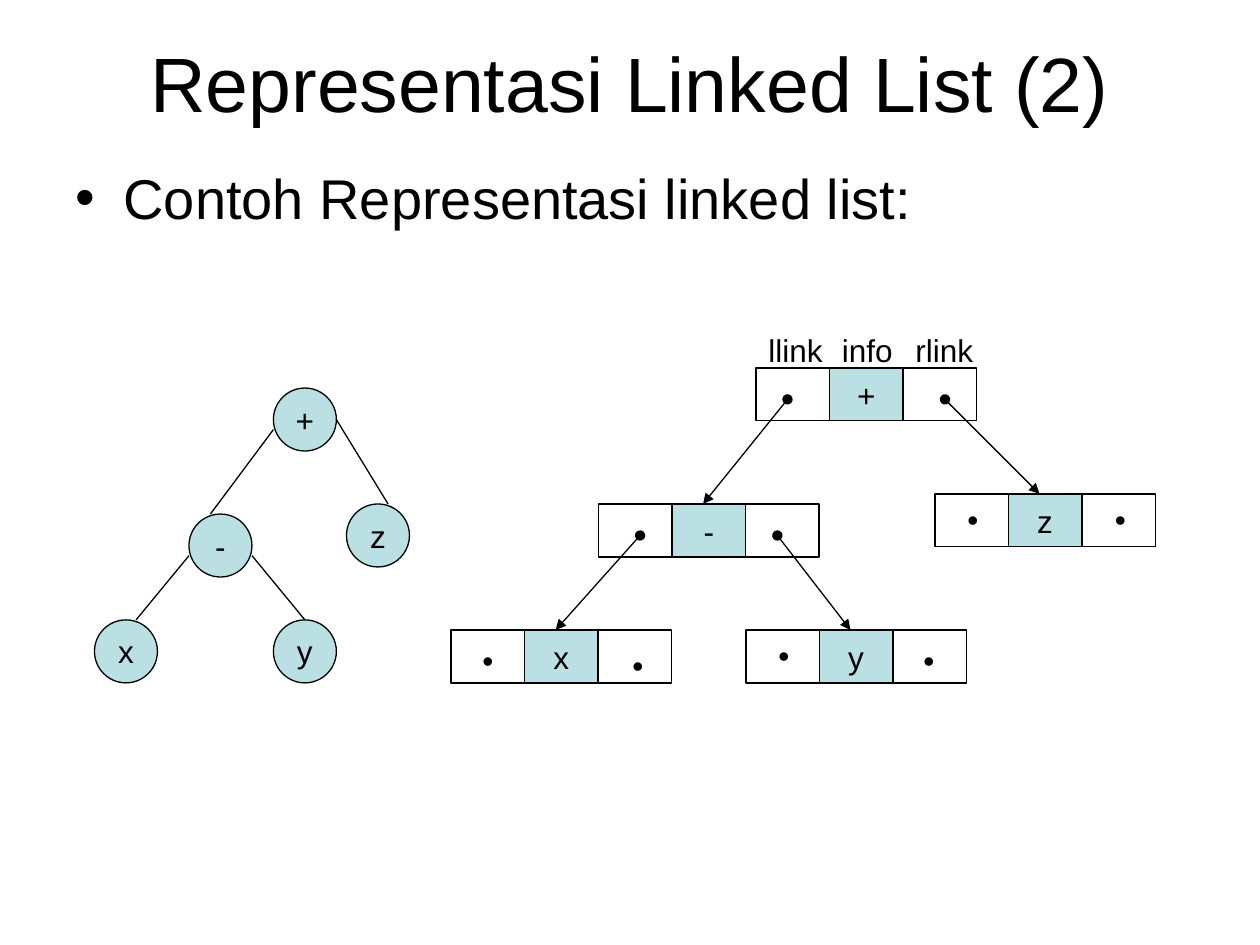
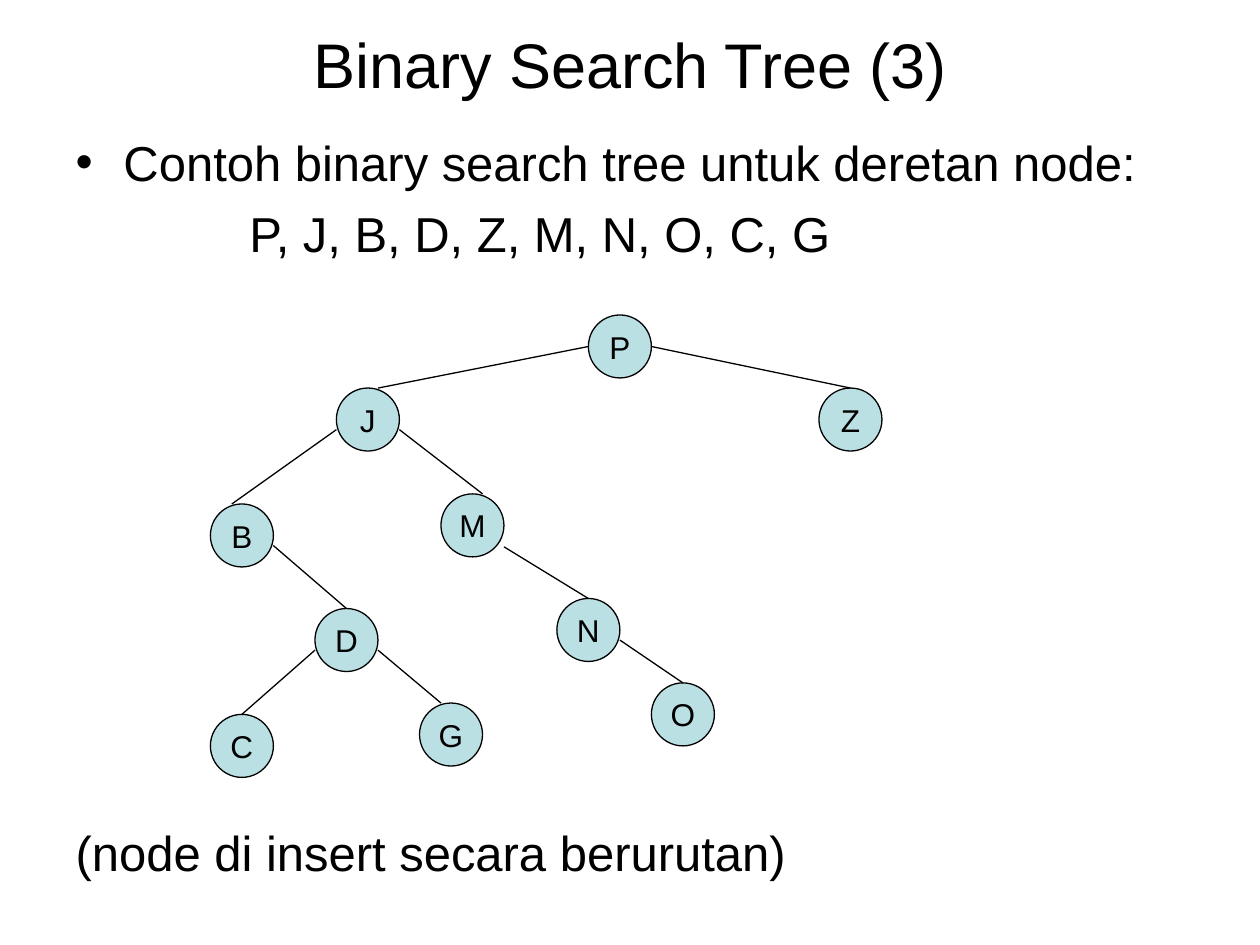
"""Build two slides on binary trees: linked list records and a search tree."""
from dataclasses import dataclass

from lxml.etree import SubElement
from pptx import Presentation
from pptx.dml.color import RGBColor
from pptx.enum.shapes import MSO_CONNECTOR, MSO_SHAPE
from pptx.enum.text import MSO_ANCHOR, MSO_AUTO_SIZE, PP_ALIGN
from pptx.oxml.ns import qn
from pptx.util import Inches, Pt


@dataclass(frozen=True)
class Theme:
    font: str = "Arial"
    ink: RGBColor = RGBColor(0x00, 0x00, 0x00)
    node_fill: RGBColor = RGBColor(0xBB, 0xE0, 0xE3)
    line_width: float = 0.75
    label_size: int = 18
    list_size: int = 32
    small_list_size: int = 28
    title_size: int = 44
    small_title_size: int = 36


@dataclass(frozen=True)
class Node:
    label: str
    left: float
    top: float
    parent: str = ""
    drop: float = 0.33
    shift: float = 0.25


@dataclass(frozen=True)
class Record:
    label: str
    left: float
    top: float
    children: tuple[str, ...] = ()
    link_inset: float = 0.25
    empty_links: tuple[tuple[float, float], ...] = ()


@dataclass(frozen=True)
class Item:
    text: str
    bullet: bool = False
    indent: float = 0.38
    hanging: float = -0.38
    space_before: float = 0


THEME = Theme()
NODE_SIZE = 0.5
CELL_WIDTH = 7 / 12
CELL_HEIGHT = 0.42
LINK_DROP = 0.25

EXPRESSION_TREE = (
    Node("+", 2.17, 3.08),
    Node("-", 1.5, 4.08, "+", shift=0.17),
    Node("z", 2.75, 4, "+", drop=0.25, shift=0.33),
    Node("x", 0.75, 4.92, "-", shift=0.33),
    Node("y", 2.17, 4.92, "-"),
)
RECORDS = (
    Record("+", 6, 2.92, children=("-", "z")),
    Record("-", 4.75, 4, children=("x", "y"), link_inset=0.33),
    Record("z", 7.42, 3.92, empty_links=((0.16, 0), (1.33, 0))),
    Record("x", 3.58, 5, empty_links=((0.15, 0.04), (1.34, 0.08))),
    Record("y", 5.92, 5, empty_links=((0.16, 0), (1.31, 0.04))),
)
SEARCH_TREE = (
    Node("P", 4.67, 2.5),
    Node("J", 2.67, 3.08, "P", drop=0.25, shift=0.33),
    Node("Z", 6.5, 3.08, "P", drop=0.25),
    Node("B", 1.67, 4, "J", shift=0.17),
    Node("M", 3.5, 3.92, "J", shift=0.33),
    Node("D", 2.5, 4.83, "B"),
    Node("N", 4.42, 4.75, "M", drop=0.42),
    Node("C", 1.67, 5.67, "D"),
    Node("G", 3.33, 5.58, "D", shift=0.17),
    Node("O", 5.17, 5.42, "N"),
)


def write(para, text: str, *, size: int = THEME.label_size, align=PP_ALIGN.LEFT) -> None:
    para.alignment = align
    span = para.add_run()
    span.text = text
    span.font.name = THEME.font
    span.font.size = Pt(size)
    span.font.color.rgb = THEME.ink


def place(box, left: float, top: float, width: float, height: float) -> None:
    box.left, box.top = Inches(left), Inches(top)
    box.width, box.height = Inches(width), Inches(height)
    box.text_frame.auto_size = MSO_AUTO_SIZE.NONE


def add_title(page, text: str, top: float, height: float, size: int) -> None:
    title = page.shapes.title
    place(title, 0.5, top, 9, height)
    title.text_frame.vertical_anchor = MSO_ANCHOR.MIDDLE
    write(title.text_frame.paragraphs[0], text, size=size, align=PP_ALIGN.CENTER)


def add_list(page, items: tuple[Item, ...], top: float, height: float, size: int) -> None:
    body = page.placeholders[1]
    place(body, 0.5, top, 9, height)
    frame = body.text_frame
    for index, item in enumerate(items):
        para = frame.add_paragraph() if index else frame.paragraphs[0]
        write(para, item.text, size=size)
        para.space_before = Pt(item.space_before)
        properties = para._p.get_or_add_pPr()
        properties.set("marL", str(Inches(item.indent)))
        properties.set("indent", str(Inches(item.hanging)))
        if item.bullet:
            SubElement(properties, qn("a:buChar"), char="•")
        else:
            SubElement(properties, qn("a:buNone"))


def add_figure(page, kind, left: float, top: float, width: float, height: float,
               label: str = "") -> None:
    figure = page.shapes.add_shape(
        kind, Inches(left), Inches(top), Inches(width), Inches(height))
    figure.shadow.inherit = False
    figure.line.color.rgb = THEME.ink
    figure.line.width = Pt(THEME.line_width)
    if not label:
        figure.fill.background()
        return
    figure.fill.solid()
    figure.fill.fore_color.rgb = THEME.node_fill
    frame = figure.text_frame
    frame.word_wrap = False
    frame.vertical_anchor = MSO_ANCHOR.MIDDLE
    write(frame.paragraphs[0], label, align=PP_ALIGN.CENTER)


def add_label(page, text: str, left: float, top: float, width: float) -> None:
    box = page.shapes.add_textbox(Inches(left), Inches(top), Inches(width), Inches(0.4))
    box.text_frame.word_wrap = False
    write(box.text_frame.paragraphs[0], text)


def add_line(page, start: tuple[float, float], end: tuple[float, float],
             pointer: bool = False) -> None:
    line = page.shapes.add_connector(
        MSO_CONNECTOR.STRAIGHT, *(Inches(value) for value in (*start, *end)))
    line.line.color.rgb = THEME.ink
    line.line.width = Pt(THEME.line_width)
    if pointer:
        stroke = line.line._get_or_add_ln()
        SubElement(stroke, qn("a:headEnd"), type="oval")
        SubElement(stroke, qn("a:tailEnd"), type="triangle")
    SubElement(line._element.spPr, qn("a:effectLst"))


def add_tree(page, nodes: tuple[Node, ...]) -> None:
    by_label = {node.label: node for node in nodes}
    for node in nodes:
        add_figure(page, MSO_SHAPE.OVAL, node.left, node.top, NODE_SIZE, NODE_SIZE, node.label)
    for node in nodes:
        if node.parent:
            parent = by_label[node.parent]
            side = NODE_SIZE if node.left >= parent.left + NODE_SIZE / 2 else 0
            if node.label == "y":
                side = NODE_SIZE
            add_line(page, (parent.left + side, parent.top + node.drop),
                     (node.left + node.shift, node.top))


def add_records(page, records: tuple[Record, ...]) -> None:
    by_label = {record.label: record for record in records}
    for record in records:
        for column, label in enumerate(("", record.label, "")):
            add_figure(page, MSO_SHAPE.RECTANGLE, record.left + column * CELL_WIDTH,
                       record.top, CELL_WIDTH, CELL_HEIGHT, label)
        for across, down in record.empty_links:
            add_label(page, "•", record.left + across, record.top + down, 0.29)
    for record in records:
        insets = (record.link_inset, 3 * CELL_WIDTH - record.link_inset)
        for inset, label in zip(insets, record.children):
            child = by_label[label]
            add_line(page, (record.left + inset, record.top + LINK_DROP),
                     (child.left + 0.83, child.top), pointer=True)


def build_linked_list_page(deck) -> None:
    page = deck.slides.add_slide(deck.slide_layouts[1])
    add_title(page, "Representasi Linked List (2)", 0.3, 0.7, THEME.title_size)
    add_list(page, (Item("Contoh Representasi linked list:", bullet=True),),
             1.25, 5.45, THEME.list_size)
    add_tree(page, EXPRESSION_TREE)
    add_records(page, RECORDS)
    root = RECORDS[0]
    for column, (name, width) in enumerate((("llink", 0.63), ("info", 0.6), ("rlink", 0.66))):
        add_label(page, name, root.left + column * CELL_WIDTH, 2.58, width)


def build_search_tree_page(deck) -> None:
    page = deck.slides.add_slide(deck.slide_layouts[1])
    add_title(page, "Binary Search Tree (3)", 0, 1, THEME.small_title_size)
    items = (
        Item("Contoh binary search tree untuk deretan node:", bullet=True),
        Item("P, J, B, D, Z, M, N, O, C, G", indent=1.38, hanging=0, space_before=7),
        Item("(node di insert secara berurutan)", space_before=320),
    )
    add_list(page, items, 1, 6.5, THEME.small_list_size)
    add_tree(page, SEARCH_TREE)


def main() -> None:
    deck = Presentation()
    deck.slide_width, deck.slide_height = Inches(10), Inches(7.5)
    build_linked_list_page(deck)
    build_search_tree_page(deck)
    deck.save("out.pptx")


if __name__ == "__main__":
    main()
